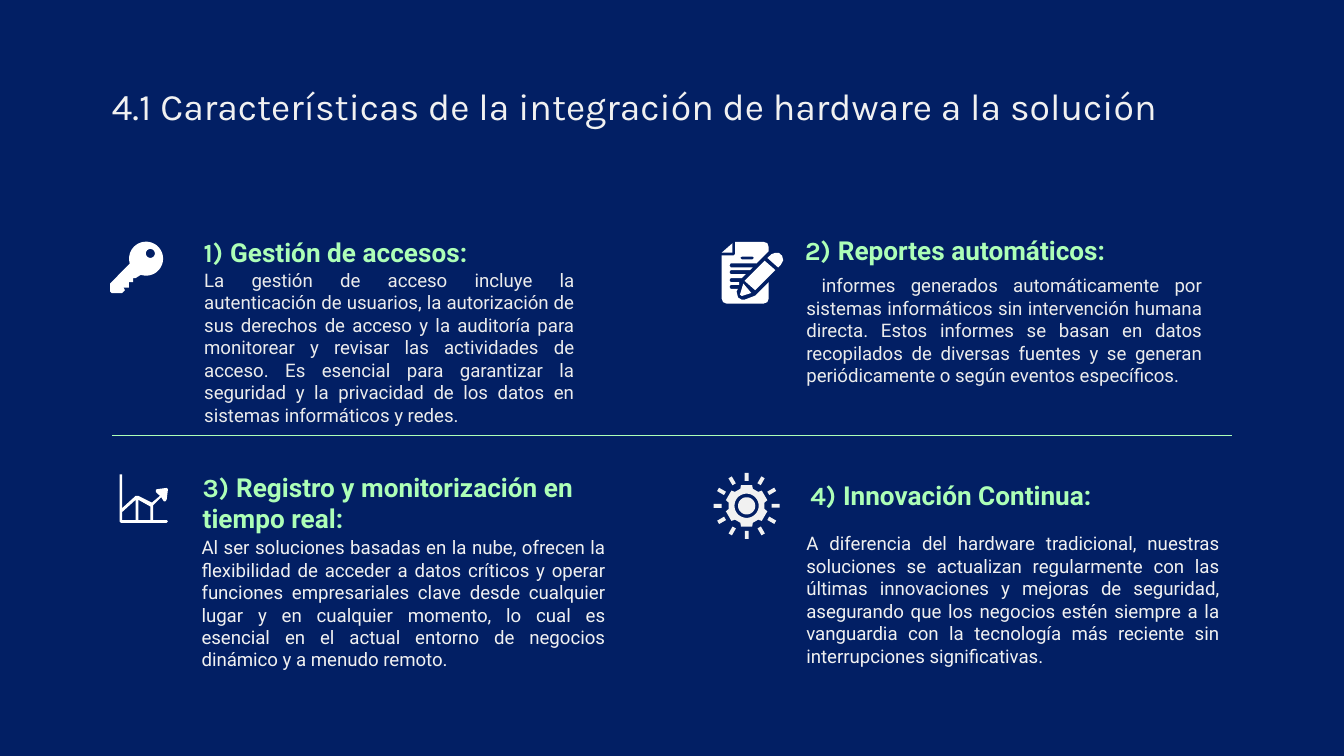
"""Build the slide on the features of integrating hardware into the solution."""
from math import cos, radians, sin

from lxml import etree
from pptx import Presentation
from pptx import util as u
from pptx.dml.color import RGBColor
from pptx.enum import shapes, text
from pptx.oxml.ns import qn

Pt = u.Pt
COLORS = {"navy": "021F64", "mint": "ADFFB7", "light": "F1F1F1", "soft": "ECECEC", "white": "FFFFFF"}


def write(sp, runs, size=10, color="light", bold=False, align="LEFT", anchor="TOP", inset=7.2):
    tf = sp.text_frame
    tf.word_wrap = True
    tf.auto_size = text.MSO_AUTO_SIZE.NONE
    tf.vertical_anchor = text.MSO_ANCHOR[anchor]
    tf.margin_left = Pt(inset)
    tf.margin_top = tf.margin_right = tf.margin_bottom = Pt(7.2)
    p = tf.paragraphs[0]
    p.alignment = text.PP_ALIGN[align]
    for words, font in runs:
        r = p.add_run()
        r.text = words
        r.font.name = font
        r.font.size = Pt(size)
        r.font.bold = bold
        r.font.color.rgb = RGBColor.from_string(COLORS[color])


def draw(parent, contours, color="white"):
    outlines = [[(Pt(x), Pt(y)) for x, y in contour] for contour in contours]
    fb = parent.build_freeform(*outlines[0][0])
    fb.add_line_segments(outlines[0][1:])
    for outline in outlines[1:]:
        fb.move_to(*outline[0])
        fb.add_line_segments(outline[1:])
    sp = fb.convert_to_shape()
    sp.shadow.inherit = False
    sp.fill.solid()
    sp.fill.fore_color.rgb = RGBColor.from_string(COLORS[color])
    sp.line.fill.background()


prs = Presentation()
prs.slide_width, prs.slide_height = Pt(720), Pt(405)
s = prs.slides.add_slide(prs.slide_layouts[5])
s.background.fill.solid()
s.background.fill.fore_color.rgb = RGBColor.from_string(COLORS["navy"])

title = s.shapes.title
title.left, title.top, title.width, title.height = Pt(52.6), Pt(37.4), Pt(679.7), Pt(45.4)
write(title, [("4.1 Características de la integración de hardware a la solución", "Karla")],
      size=20, align="JUSTIFY")

features = [
    ("1) ", "Gestión de accesos:", (102, 115.6, 240, 35.3),
     "La gestión de acceso incluye la autenticación de usuarios, la autorización de sus derechos de "
     "acceso y la auditoría para monitorear y revisar las actividades de acceso. Es esencial para "
     "garantizar la seguridad y la privacidad de los datos en sistemas informáticos y redes.",
     (66.2, 136.8, 248.4, 85), "soft"),
    ("2) ", "Reportes automáticos:", (424.1, 114.5, 240, 35.3),
     " informes generados automáticamente por sistemas informáticos sin intervención humana directa. "
     "Estos informes se basan en datos recopilados de diversas fuentes y se generan periódicamente o "
     "según eventos específicos.",
     (388.8, 139.7, 262.1, 85), "soft"),
    ("3) ", "Registro y monitorización en tiempo real:", (101.5, 244.1, 240, 49),
     "Al ser soluciones basadas en la nube, ofrecen la flexibilidad de acceder a datos críticos y "
     "operar funciones empresariales clave desde cualquier lugar y en cualquier momento, lo cual es "
     "esencial en el actual entorno de negocios dinámico y a menudo remoto.",
     (64.8, 280, 266.4, 85), "light"),
    ("4) ", "Innovación Continua:", (427, 245.5, 240, 35.3),
     "A diferencia del hardware tradicional, nuestras soluciones se actualizan regularmente con las "
     "últimas innovaciones y mejoras de seguridad, asegurando que los negocios estén siempre a la "
     "vanguardia con la tecnología más reciente sin interrupciones significativas.",
     (388.8, 277.9, 271.4, 85), "light"),
]
for number, heading, heading_box, body, body_box, body_color in features:
    sp = s.shapes.add_textbox(*map(Pt, heading_box))
    write(sp, [(number, "Karla"), (heading, "Roboto")], size=14, color="mint", bold=True, anchor="BOTTOM")
    sp = s.shapes.add_textbox(*map(Pt, body_box))
    write(sp, [(body, "Roboto")], color=body_color, align="JUSTIFY", inset=43.2)

divider = s.shapes.add_connector(shapes.MSO_CONNECTOR.STRAIGHT, Pt(660), Pt(233.3), Pt(60), Pt(233.3))
divider.line.color.rgb = RGBColor.from_string(COLORS["mint"])
divider.line.width = Pt(0.75)
etree.SubElement(divider._element.spPr, qn("a:effectLst"))

circle = [(cos(radians(a)), sin(radians(a))) for a in range(0, 360, 10)]

key_bow = [(78.3 + 9.1 * cos(radians(a)), 138.6 + 9.1 * sin(radians(a))) for a in range(163, 469, 5)]
key_blade = [(72.7, 149), (71.3, 149), (71.3, 151.2), (69.1, 151.2), (69.1, 154.1), (66.2, 154.1),
             (67, 155.5), (65.5, 157), (59.8, 157), (59, 156.2), (59, 151.9)]
draw(s.shapes, [key_bow + key_blade, [(80.6 + 2.4 * x, 135.8 + 2.4 * y) for x, y in circle]])

chart_outline = [(64.1, 254.2), (65.5, 254.2), (65.5, 272.2), (72.7, 265.7), (74.2, 265.7), (81.4, 269.3),
                 (85.7, 265.7), (83.5, 263.5), (83.5, 262.4), (84.2, 262.1), (89.3, 261.4), (90, 262.1),
                 (89.3, 267.8), (88.6, 268.6), (87.8, 268.6), (86.4, 266.4), (82.1, 270.7), (82.1, 278.6),
                 (89.3, 278.6), (90, 279.4), (89.3, 280.1), (64.8, 280.1), (64.1, 279.4)]
chart_left = [(72.7, 267.8), (72.7, 278.6), (65.5, 278.6), (65.5, 274.3)]
chart_right = [(74.2, 267.8), (80.6, 271.4), (80.6, 278.6), (74.2, 278.6)]
draw(s.shapes, [chart_outline, chart_left, chart_right])

report = s.shapes.add_group_shape().shapes
page = [(393.8, 129.6), (393.8, 136.1), (393.1, 136.8), (386.6, 136.8), (386.6, 160), (387.4, 161.9),
        (389.3, 162.7), (409, 162.7), (411.1, 161.9), (411.8, 160), (411.8, 151.2), (404.6, 158.4),
        (398.9, 160.6), (397.2, 160.5), (395.4, 159.4), (394.6, 156.2), (395.3, 154.8)]
for upper, lower, start, end in [(152.6, 154.8, 395.3, 396), (149, 151.2, 396, 397.4),
                                 (144.7, 146.9, 399.6, 401.8), (141.1, 143.3, 403.2, 405.4)]:
    page += [(start, lower), (391.5, lower), (390.8, (upper + lower) / 2), (391.5, upper), (end, upper)]
page += [(411.8, 134.6), (411.8, 132.5), (411.1, 130.3), (409, 129.6)]
page_slot = [(397.4, 137.5), (403.2, 137.5), (404, 138.2), (403.2, 139), (397.4, 139), (396.5, 138.2)]
pencil_tip = [(398.2, 151.9), (396.7, 157), (396.4, 157.9), (397.4, 158.6), (402.5, 157)]
pencil_end = [(415.4, 135.4), (413.3, 136.2), (411.1, 138.2), (416.9, 143.3), (418.3, 141.8),
              (419.6, 139.5), (419, 137), (417.3, 135.5)]
pencil_body = [(409.7, 139.7), (398.9, 150.5), (404.6, 155.5), (415.4, 144.7)]
page_fold = [(392.4, 130.3), (386.6, 135.4), (392.4, 135.4)]
for contours in ([page, page_slot], [pencil_tip], [pencil_end], [pencil_body], [page_fold]):
    draw(report, contours)

gear = s.shapes.add_group_shape().shapes
cx, cy = 400, 271
for angle in range(0, 360, 30):
    x, y = cx + 15.5 * sin(radians(angle)), cy - 15.5 * cos(radians(angle))
    ray = gear.add_shape(shapes.MSO_SHAPE.RECTANGLE, Pt(x - 1.05), Pt(y - 2.15), Pt(2.1), Pt(4.3))
    ray.rotation = angle
    ray.shadow.inherit = False
    ray.fill.solid()
    ray.fill.fore_color.rgb = RGBColor.from_string(COLORS["light"])
    ray.line.fill.background()
teeth = [(cx + radius * cos(radians(tooth + turn)), cy + radius * sin(radians(tooth + turn)))
         for tooth in range(30, 390, 60)
         for radius, turn in [(9.7, -20), (11.5, -15), (11.5, 15), (9.7, 20)]]
draw(gear, [teeth, [(cx + 6.5 * x, cy + 6.5 * y) for x, y in circle]], "light")
draw(gear, [[(cx + 4.6 * x, cy + 4.6 * y) for x, y in circle]], "light")

prs.save("out.pptx")
